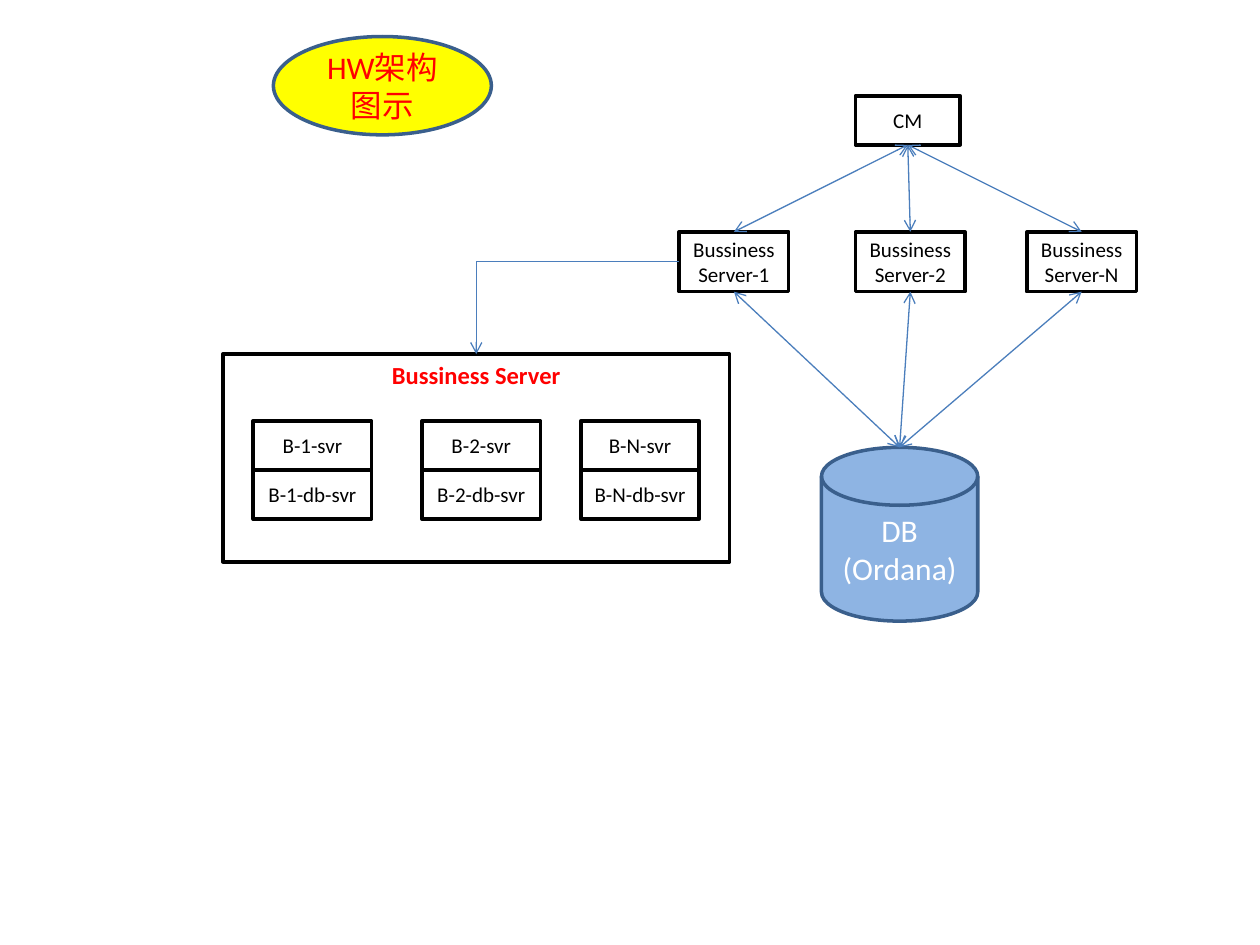
"""Draw a hardware layout with servers, a manager and a database."""
from dataclasses import dataclass
from typing import Optional

from lxml import etree
from pptx import Presentation, util as u
from pptx.dml.color import RGBColor
from pptx.enum import shapes as es, text as et
from pptx.oxml.ns import qn

COLS, ROWS = 100, 75
WIDE, HIGH = u.Inches(10), u.Inches(7.5)


@dataclass(frozen=True)
class Theme:
    """Colours, font and sizes in points."""
    ink: str = "000000"
    red: str = "FF0000"
    white: str = "FFFFFF"
    gold: str = "FFFF00"
    sky: str = "8EB4E3"
    edge: str = "3A5F8C"
    wire: str = "4B7EBC"
    font: str = "Calibri"
    small: float = 12
    mid: float = 14
    large: float = 18
    border: float = 2
    thin: float = 0.75


@dataclass(frozen=True)
class Box:
    """A place on the grid, in columns and rows."""
    col: float
    row: float
    wide: float
    high: float

    @property
    def top(self) -> tuple:
        """Middle of the top side."""
        return self.col + self.wide / 2, self.row

    @property
    def base(self) -> tuple:
        """Middle of the bottom side."""
        return self.col + self.wide / 2, self.row + self.high

    @property
    def left(self) -> tuple:
        """Middle of the left side."""
        return self.col, self.row + self.high / 2


T = Theme()
KIND = es.MSO_SHAPE
LINK = es.MSO_CONNECTOR


def across(col: float) -> int:
    """Turn columns into a length."""
    return round(WIDE * col / COLS)


def down(row: float) -> int:
    """Turn rows into a length."""
    return round(HIGH * row / ROWS)


def tint(code: str) -> RGBColor:
    """Read a colour code."""
    return RGBColor.from_string(code)


def write(frame, words: str, *, size: float = T.small, color: str = T.ink,
          bold: bool = False, anchor=et.MSO_ANCHOR.MIDDLE) -> None:
    """Fill a frame with centred text, one paragraph a line."""
    frame.word_wrap = True
    frame.vertical_anchor = anchor
    frame.margin_left = frame.margin_right = u.Inches(0.05)
    for i, line in enumerate(words.split("\n")):
        para = frame.add_paragraph() if i else frame.paragraphs[0]
        para.alignment = et.PP_ALIGN.CENTER
        run = para.add_run()
        run.text = line
        run.font.name = T.font
        run.font.size = u.Pt(size)
        run.font.bold = bold
        run.font.color.rgb = tint(color)


def draw(slide, box: Box, words: str, *, kind=KIND.RECTANGLE,
         fill: Optional[str] = None, edge: str = T.ink, **look) -> None:
    """Draw a bordered shape with text."""
    item = slide.shapes.add_shape(kind, across(box.col), down(box.row),
                                  across(box.wide), down(box.high))
    item.shadow.inherit = False
    if fill:
        item.fill.solid()
        item.fill.fore_color.rgb = tint(fill)
    else:
        item.fill.background()
    item.line.color.rgb = tint(edge)
    item.line.width = u.Pt(T.border)
    write(item.text_frame, words, **look)


def join(slide, start: tuple, end: tuple, *, kind=LINK.STRAIGHT,
         tips: tuple = ("headEnd", "tailEnd")) -> None:
    """Join two points with an arrow."""
    wire = slide.shapes.add_connector(kind, across(start[0]), down(start[1]),
                                      across(end[0]), down(end[1]))
    wire.line.color.rgb = tint(T.wire)
    wire.line.width = u.Pt(T.thin)
    props = wire._element.spPr
    if kind == LINK.ELBOW:
        props.find(qn("a:prstGeom")).set("prst", "bentConnector2")
    for tip in tips:
        etree.SubElement(props.find(qn("a:ln")), qn("a:" + tip), type="arrow")
    etree.SubElement(props, qn("a:effectLst"))


def main() -> None:
    """Build and save the slide."""
    deck = Presentation()
    deck.slide_width, deck.slide_height = WIDE, HIGH
    slide = deck.slides.add_slide(deck.slide_layouts[6])

    title = Box(21.7, 2.9, 17.3, 7.8)
    boss = Box(67.9, 7.6, 8.3, 3.9)
    store = Box(65.2, 35.5, 12.4, 13.8)
    panel = Box(17.7, 28.1, 40.2, 16.5)
    names = ("1", "2", "N")
    hosts = [Box(col, 18.4, 8.7, 4.75) for col in (53.9, 67.9, 81.5)]

    draw(slide, title, "HW架构\n图示", kind=KIND.OVAL, fill=T.gold,
         edge=T.edge, size=T.large, color=T.red)
    draw(slide, boss, "CM")
    draw(slide, store, "DB\n(Ordana)", kind=KIND.FLOWCHART_MAGNETIC_DISK,
         fill=T.sky, edge=T.edge, size=T.large, color=T.white)
    draw(slide, panel, "Bussiness Server", size=T.mid, color=T.red,
         bold=True, anchor=et.MSO_ANCHOR.TOP)

    for name, host, col in zip(names, hosts, (20.1, 33.5, 46.1)):
        draw(slide, host, f"Bussiness\nServer-{name}")
        for i, part in enumerate(("svr", "db-svr")):
            draw(slide, Box(col, 33.4 + 3.9 * i, 9.4, 3.9), f"B-{name}-{part}")
        join(slide, boss.base, host.top)
        join(slide, host.base, store.top)
    join(slide, hosts[0].left, panel.top, kind=LINK.ELBOW, tips=("tailEnd",))

    deck.save("out.pptx")


main()
